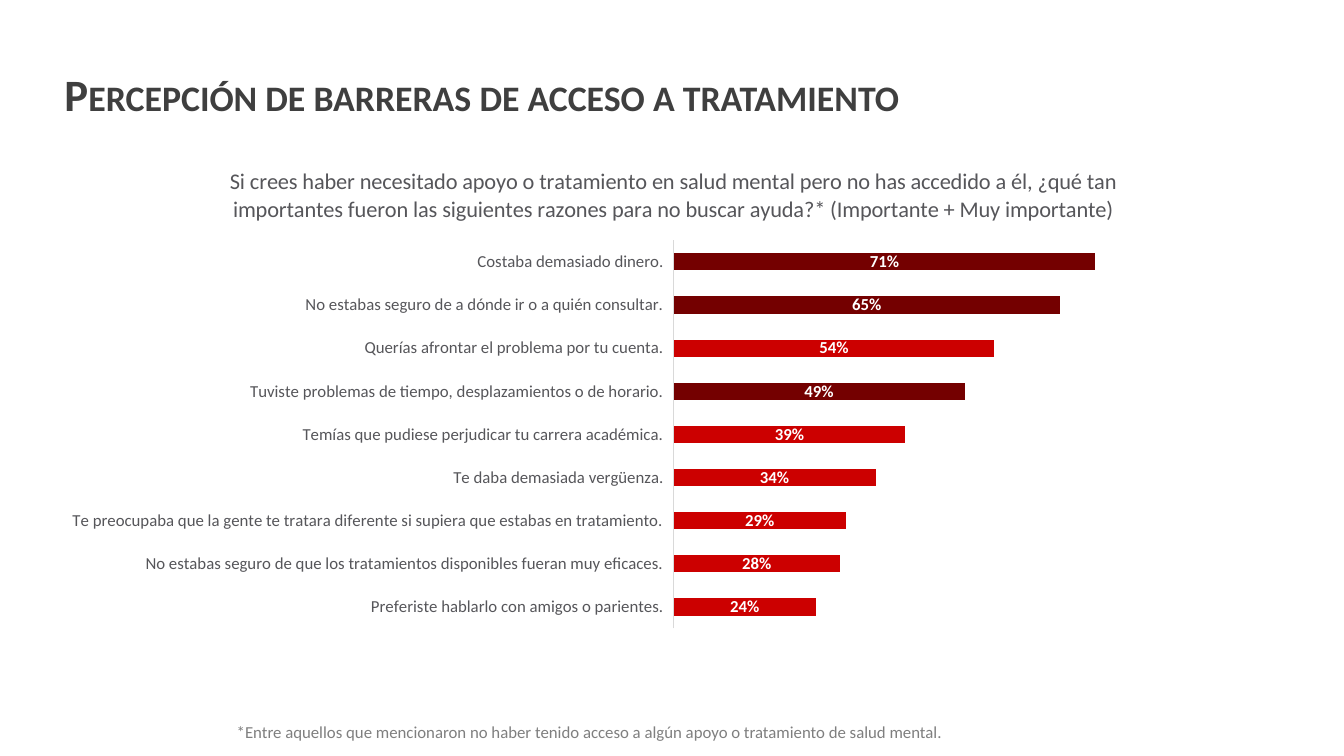
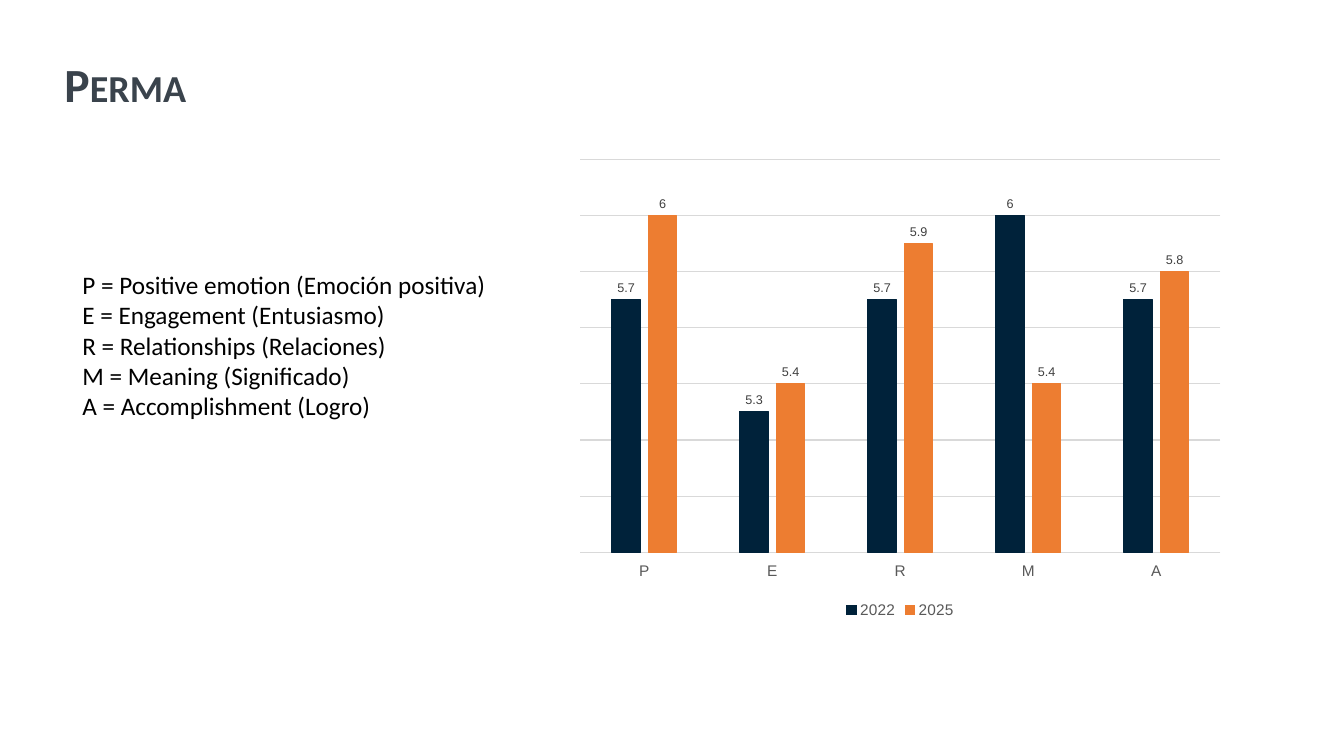
from lxml import etree
from pptx import Presentation
from pptx.chart.data import CategoryChartData
from pptx.dml.color import RGBColor
from pptx.enum.chart import XL_CHART_TYPE, XL_LABEL_POSITION, XL_LEGEND_POSITION, XL_TICK_LABEL_POSITION, XL_TICK_MARK
from pptx.enum.text import MSO_ANCHOR
from pptx.oxml.ns import qn
from pptx.util import Pt

PX = 9525
BLACK = RGBColor(0x00, 0x00, 0x00)
WHITE = RGBColor(0xFF, 0xFF, 0xFF)
CHARCOAL = RGBColor(0x3F, 0x3F, 0x3F)
SLATE = RGBColor(0x3A, 0x43, 0x4C)
NOTE_GRAY = RGBColor(0x7F, 0x7F, 0x7F)
BARRIER_GRAY = RGBColor(0x56, 0x56, 0x5A)
AXIS_GRAY = RGBColor(0x59, 0x59, 0x59)
LABEL_GRAY = RGBColor(0x40, 0x40, 0x40)
LINE_GRAY = RGBColor(0xD9, 0xD9, 0xD9)
RED = RGBColor(0xCC, 0x00, 0x00)
DARK_RED = RGBColor(0x74, 0x00, 0x00)
NAVY = RGBColor(0x00, 0x22, 0x3A)
ORANGE = RGBColor(0xED, 0x7D, 0x31)


def set_font(font, name, size, color, bold=False):
    font.name = name
    font.size = Pt(size)
    font.color.rgb = color
    font.bold = bold


def add_text(slide, box, lines, size, color, title=False):
    shape = slide.shapes.add_textbox(*(length * PX for length in box))
    frame = shape.text_frame
    frame.word_wrap = True
    frame.text = "\n".join(lines)
    for paragraph in frame.paragraphs:
        set_font(paragraph.font, "Calibri", size, color, title)
        if title:
            frame.vertical_anchor = MSO_ANCHOR.MIDDLE
            paragraph.line_spacing = 0.9
            paragraph.runs[0].font._element.set("cap", "small")


presentation = Presentation()
presentation.slide_width = 1280 * PX
presentation.slide_height = 720 * PX
blank = presentation.slide_layouts[6]

barriers = [
    ("Costaba demasiado dinero.", 0.71, DARK_RED),
    ("No estabas seguro de a dónde ir o a quién consultar.", 0.65, DARK_RED),
    ("Querías afrontar el problema por tu cuenta.", 0.54, RED),
    ("Tuviste problemas de tiempo, desplazamientos o de horario.", 0.49, DARK_RED),
    ("Temías que pudiese perjudicar tu carrera académica.", 0.39, RED),
    ("Te daba demasiada vergüenza.", 0.34, RED),
    ("Te preocupaba que la gente te tratara diferente si supiera que estabas en tratamiento.", 0.29, RED),
    ("No estabas seguro de que los tratamientos disponibles fueran muy eficaces.", 0.28, RED),
    ("Preferiste hablarlo con amigos o parientes.", 0.24, RED),
]
barriers.reverse()

slide = presentation.slides.add_slide(blank)
add_text(slide, (52, 23, 1222, 139), ["Percepción de barreras de acceso a tratamiento"], 32, CHARCOAL, title=True)
barrier_data = CategoryChartData(number_format="0%")
barrier_data.categories = [reason for reason, share, color in barriers]
barrier_data.add_series("Series 1", [share for reason, share, color in barriers])
barrier_chart = slide.shapes.add_chart(
    XL_CHART_TYPE.BAR_CLUSTERED, 52 * PX, 140 * PX, 1179 * PX, 468 * PX, barrier_data
).chart
barrier_chart.has_title = True
question = barrier_chart.chart_title.text_frame
question.text = (
    "Si crees haber necesitado apoyo o tratamiento en salud mental pero no has accedido a él, "
    "¿qué tan importantes fueron las siguientes razones para no buscar ayuda?* (Importante + Muy importante)"
)
set_font(question.paragraphs[0].font, "Calibri", 16, BARRIER_GRAY)
barrier_chart.chart_title.include_in_layout = False
barrier_chart.has_legend = False
barrier_chart.value_axis.minimum_scale = 0
barrier_chart.value_axis.maximum_scale = 1
barrier_chart.value_axis.has_major_gridlines = False
barrier_plot = barrier_chart.plots[0]
barrier_plot.gap_width = 150
barrier_plot.overlap = 100
barrier_series = barrier_plot.series[0]
barrier_series.format.fill.solid()
barrier_series.format.fill.fore_color.rgb = RED
for index, (reason, share, color) in enumerate(barriers):
    if color != RED:
        fill = barrier_series.points[index].format.fill
        fill.solid()
        fill.fore_color.rgb = color
barrier_labels = barrier_series.data_labels
barrier_labels.show_value = True
barrier_labels.number_format = "0%"
barrier_labels.number_format_is_linked = False
barrier_labels.position = XL_LABEL_POSITION.CENTER
set_font(barrier_labels.font, "Calibri", 12, WHITE, bold=True)

plot_area = barrier_chart._chartSpace.chart.plotArea
for old_layout in plot_area.findall(qn("c:layout")):
    plot_area.remove(old_layout)
layout = etree.Element(qn("c:layout"))
manual = etree.SubElement(layout, qn("c:manualLayout"))
for tag, value in (
    ("layoutTarget", "inner"), ("xMode", "edge"), ("yMode", "edge"),
    ("x", "0.5"), ("y", "0.19"), ("w", "0.48"), ("h", "0.79"),
):
    etree.SubElement(manual, qn(f"c:{tag}")).set("val", value)
plot_area.insert(0, layout)

add_text(
    slide, (216, 683, 893, 29),
    ["*Entre aquellos que mencionaron no haber tenido acceso a algún apoyo o tratamiento de salud mental."],
    12, NOTE_GRAY,
)

slide = presentation.slides.add_slide(blank)
add_text(slide, (52, 38, 1222, 90), ["Perma"], 34, SLATE, title=True)
perma_lines = [
    "P = Positive emotion (Emoción positiva)",
    "E = Engagement (Entusiasmo)",
    "R = Relationships (Relaciones)",
    "M = Meaning (Significado)",
    "A = Accomplishment (Logro)",
]
add_text(slide, (69, 252, 471, 156), perma_lines, 18, BLACK)
perma_data = CategoryChartData()
perma_data.categories = list("PERMA")
perma_data.add_series("2022", [5.7, 5.3, 5.7, 6, 5.7])
perma_data.add_series("2025", [6, 5.4, 5.9, 5.4, 5.8])
perma_chart = slide.shapes.add_chart(
    XL_CHART_TYPE.COLUMN_CLUSTERED, 540 * PX, 143 * PX, 635 * PX, 450 * PX, perma_data
).chart
perma_chart.has_title = False
perma_chart.has_legend = True
perma_chart.legend.position = XL_LEGEND_POSITION.BOTTOM
perma_chart.legend.include_in_layout = False
set_font(perma_chart.legend.font, "Arial", 11, AXIS_GRAY)
perma_axis = perma_chart.value_axis
perma_axis.minimum_scale = 4.8
perma_axis.maximum_scale = 6.2
perma_axis.major_unit = 0.2
perma_axis.major_gridlines.format.line.color.rgb = LINE_GRAY
perma_axis.major_gridlines.format.line.width = Pt(0.75)
perma_plot = perma_chart.plots[0]
perma_plot.gap_width = 219
perma_plot.overlap = -27
for series, color in zip(perma_plot.series, (NAVY, ORANGE)):
    series.format.fill.solid()
    series.format.fill.fore_color.rgb = color
    series.format.line.color.rgb = color
    series.format.line.width = Pt(0.75)
    labels = series.data_labels
    labels.show_value = True
    labels.position = XL_LABEL_POSITION.OUTSIDE_END
    set_font(labels.font, "Arial", 9, LABEL_GRAY)

for chart, font_name, size, color in (
    (barrier_chart, "Calibri", 12, BARRIER_GRAY),
    (perma_chart, "Arial", 11, AXIS_GRAY),
):
    set_font(chart.font, font_name, size, color)
    chart.plots[0].vary_by_categories = False
    chart.value_axis.visible = False
    axis = chart.category_axis
    axis.major_tick_mark = XL_TICK_MARK.NONE
    axis.minor_tick_mark = XL_TICK_MARK.NONE
    axis.tick_label_position = XL_TICK_LABEL_POSITION.LOW
    axis.format.line.color.rgb = LINE_GRAY
    axis.format.line.width = Pt(0.75)
    set_font(axis.tick_labels.font, font_name, size, color)

presentation.save("out.pptx")
